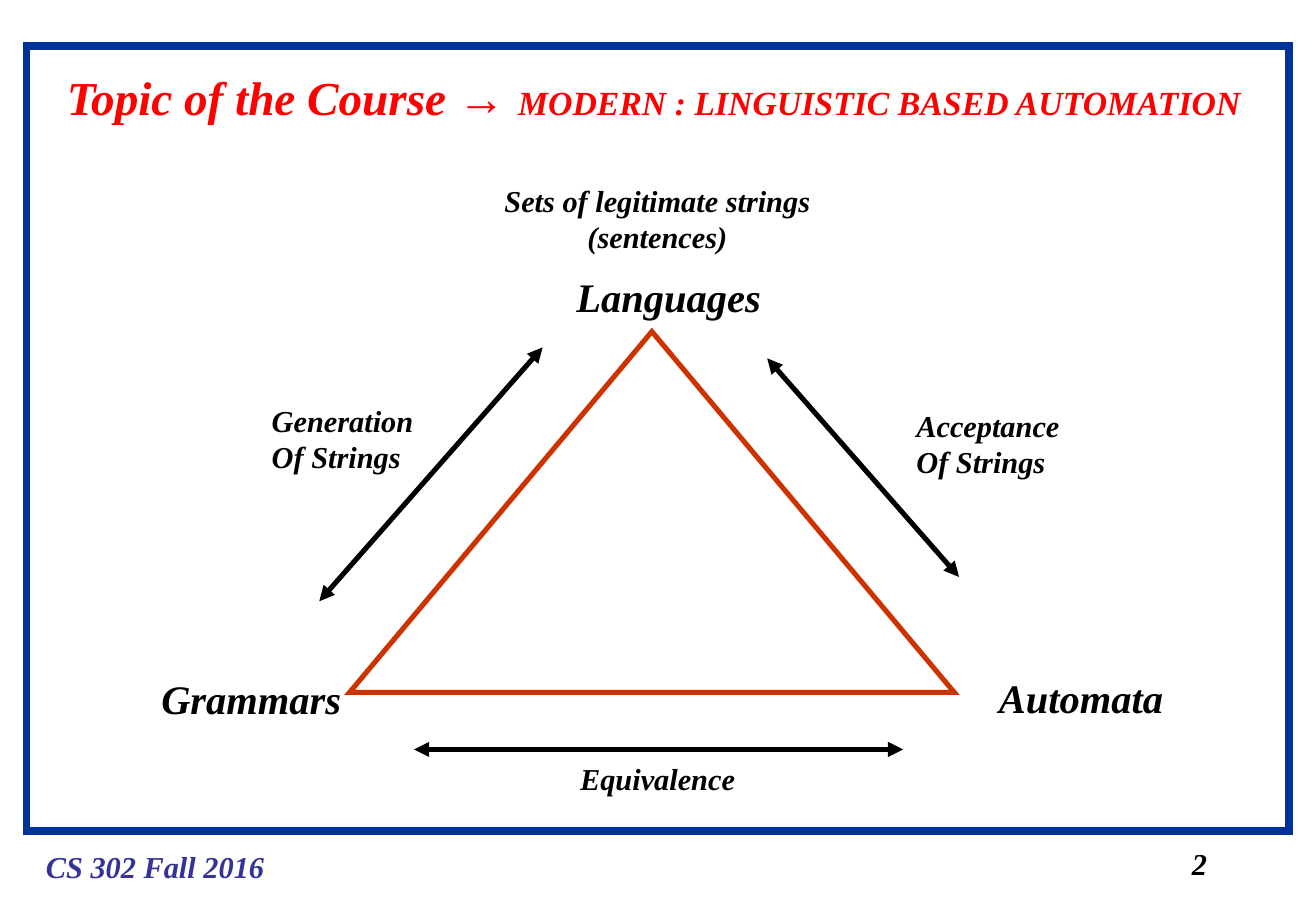
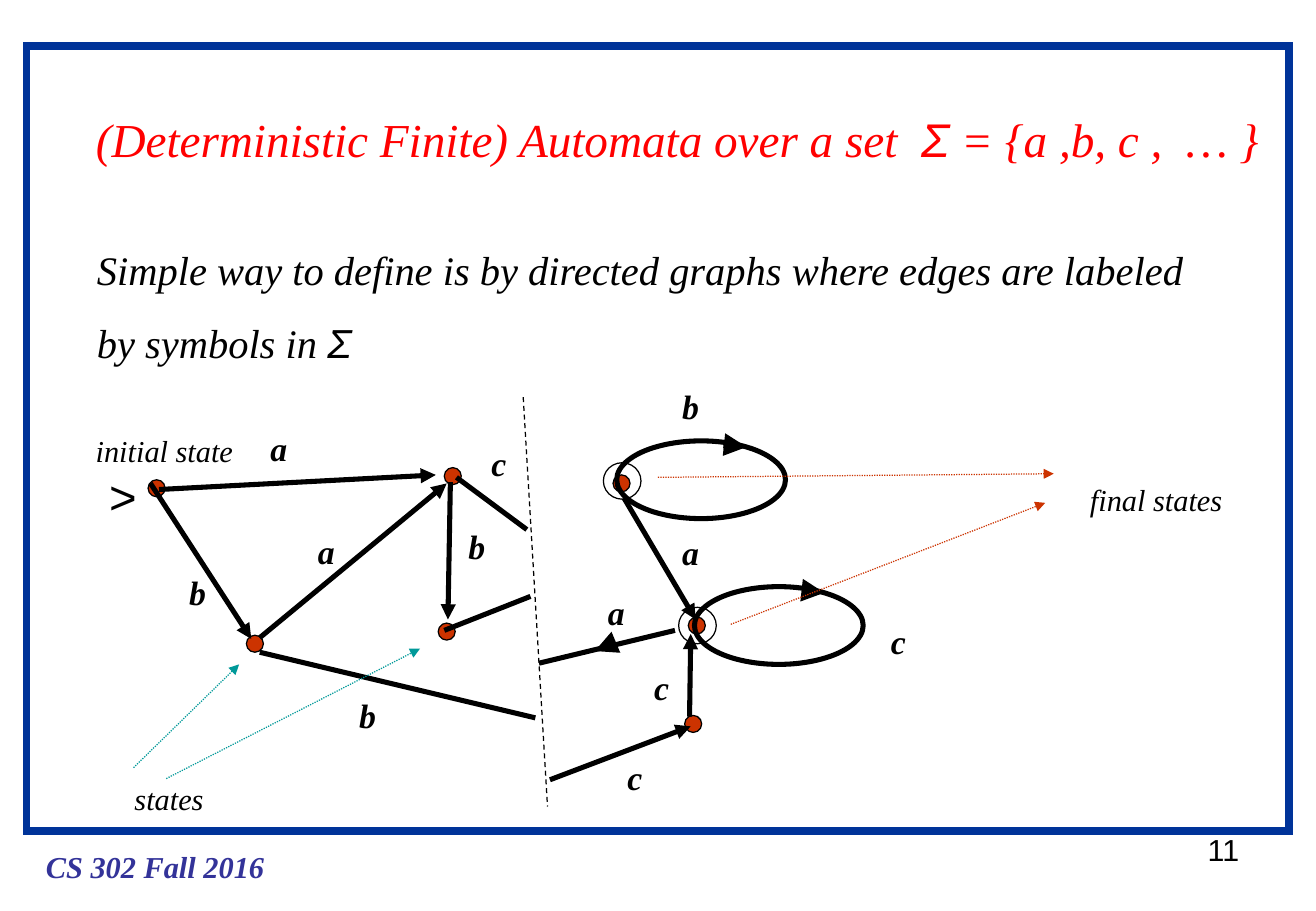
from lxml import etree
from pptx import Presentation
from pptx.dml.color import RGBColor
from pptx.enum.dml import MSO_LINE
from pptx.enum.shapes import MSO_CONNECTOR, MSO_SHAPE
from pptx.enum.text import MSO_ANCHOR, MSO_AUTO_SIZE, PP_ALIGN
from pptx.oxml.ns import qn
from pptx.util import Pt

PX = 9144  # 100 px to the inch
LEFT, CENTER = PP_ALIGN.LEFT, PP_ALIGN.CENTER
DOT, DASH = MSO_LINE.ROUND_DOT, MSO_LINE.DASH
RECT, OVAL, TRIANGLE = MSO_SHAPE.RECTANGLE, MSO_SHAPE.OVAL, MSO_SHAPE.ISOSCELES_TRIANGLE
COLORS = {"frame": "003399", "footer": "333399", "title": "FF0000",
          "ink": "000000", "state": "CC3300", "pointer": "009999"}
SERIF, SANS = "Times New Roman", "Arial"
# size, font, bold, italic, colour
STYLES = {
    "footer": (18, SERIF, True, True, "footer"),
    "title_bold": (28, SERIF, True, True, "title"),
    "title_arrow": (28, SANS, True, True, "title"),
    "subtitle": (20, SERIF, True, True, "title"),
    "title": (28, SERIF, False, True, "title"),
    "title_sigma": (28, SANS, False, True, "title"),
    "corner": (24, SERIF, True, True, "ink"),
    "caption": (18, SERIF, True, True, "ink"),
    "body": (24, SERIF, False, True, "ink"),
    "body_sigma": (24, SANS, False, True, "ink"),
    "note": (18, SERIF, False, True, "ink"),
    "symbol": (20, SERIF, True, True, "ink"),
    "start": (28, SANS, False, False, "ink"),
    "number": (18, SANS, False, False, "ink"),
}


def add_text(s, box, lines, wrap=False, align=LEFT, spacing=1.0, shape=None):
    """Write lines of (text, style) runs in a new text box, or in the given shape."""
    x, y, w, h = [v * PX for v in box]
    shape = shape or s.shapes.add_textbox(x, y, w, h)
    shape.left, shape.top, shape.width, shape.height = x, y, w, h
    tf = shape.text_frame
    tf.word_wrap = wrap
    tf.auto_size = MSO_AUTO_SIZE.SHAPE_TO_FIT_TEXT
    tf.vertical_anchor = MSO_ANCHOR.TOP
    for i, runs in enumerate(lines):
        p = tf.add_paragraph() if i else tf.paragraphs[0]
        p.alignment = align
        p.line_spacing = spacing
        for text, style in runs:
            r = p.add_run()
            r.text = text
            size, r.font.name, r.font.bold, r.font.italic, color = STYLES[style]
            r.font.size = Pt(size)
            r.font.color.rgb = RGBColor.from_string(COLORS[color])
    return shape


def add_outline(s, kind, box, color, width, ends="", dash=None, fill=None):
    """Draw a preset shape in box, or, if kind is None, a line between two points."""
    a, b, c, d = [v * PX for v in box]
    if kind is None:
        shape = s.shapes.add_connector(MSO_CONNECTOR.STRAIGHT, a, b, c, d)
        etree.SubElement(shape.element.spPr, qn("a:effectLst"))
    else:
        shape = s.shapes.add_shape(kind, a, b, c, d)
        shape.shadow.inherit = False
        if fill:
            shape.fill.solid()
            shape.fill.fore_color.rgb = RGBColor.from_string(COLORS[fill])
        else:
            shape.fill.background()
    shape.line.color.rgb = RGBColor.from_string(COLORS[color])
    shape.line.width = Pt(width)
    if dash:
        shape.line.dash_style = dash
    ln = shape.element.spPr.find(qn("a:ln"))
    etree.SubElement(ln, qn("a:miter"), lim="800000")
    for end in ends.split():
        etree.SubElement(ln, qn(f"a:{end}"), type="triangle")
    return shape


prs = Presentation()
prs.slide_width, prs.slide_height = 1084 * PX, 750 * PX
layout = prs.slide_layouts[5]

# Slide 1: languages, grammars and automata
s = prs.slides.add_slide(layout)

# The frame and the footer belong to the layout, so both slides show them
shared = [add_outline(s, RECT, (22, 38, 1040, 646), "frame", 4.5),
          add_text(s, (28, 693, 200, 40), [[("CS 302 Fall 2016", "footer")]])]
for i, shape in enumerate(shared):
    shape.element.nvSpPr.cNvPr.set("id", str(20 + i))
    layout.shapes.element.append(shape.element)

add_text(s, (45, 51, 1000, 57),
         [[("Topic of the Course ", "title_bold"), ("→ ", "title_arrow"),
           ("MODERN : LINGUISTIC BASED AUTOMATION", "subtitle")]], shape=s.shapes.title)
add_outline(s, TRIANGLE, (288, 273, 498, 297), "state", 3)
for box, text in [((465, 219, 172, 50), "Languages"),
                  ((813, 549, 155, 50), "Automata"),
                  ((123, 550, 168, 50), "Grammars")]:
    add_text(s, box, [[(text, "corner")]])
for ends in [(263, 495, 447, 286), (632, 295, 790, 475), (341, 617, 744, 617)]:
    add_outline(s, None, ends, "ink", 3, "headEnd tailEnd")
for box, lines, wrap, align in [
        ((214, 326, 150, 70), ["Generation", "Of Strings"], True, LEFT),
        ((745, 330, 179, 70), ["Acceptance", "Of Strings"], True, LEFT),
        ((374, 145, 335, 70), ["Sets of legitimate strings (sentences)"], True, CENTER),
        ((468, 621, 148, 40), ["Equivalence"], False, LEFT)]:
    add_text(s, box, [[(line, "caption")] for line in lines], wrap, align)
add_text(s, (972, 691, 32, 40), [[("2", "caption")]])

# Slide 2: an automaton as a directed graph
s = prs.slides.add_slide(layout)
add_text(s, (69, 86, 988, 57),
         [[("(Deterministic Finite) Automata over a set  ", "title"), ("Σ", "title_sigma"),
           (" = {a ,b, c ,  … }", "title")]], shape=s.shapes.title)
add_text(s, (70, 177, 920, 130),
         [[("Simple way to define is by directed graphs where edges are labeled "
            "by symbols in ", "body"), ("Σ", "body_sigma")]], wrap=True, spacing=1.5)

for x, y in [(122, 395), (505, 391), (361, 513), (567, 508),
             (203, 523), (564, 589), (366, 385)]:
    add_outline(s, OVAL, (x, y, 14, 14), "ink", 0.75, fill="state")
for x, y in [(497, 381), (559, 500)]:
    add_outline(s, OVAL, (x, y, 31, 30), "ink", 0.75)
for x, y in [(508, 363), (572, 483)]:
    add_outline(s, OVAL, (x, y, 139, 64), "ink", 3)

arrows = [(131, 403, 359, 391), (214, 525, 368, 398), (124, 398, 207, 526),
          (453, 642, 569, 598), (371, 397, 369, 510), (514, 410, 573, 510),
          (568, 590, 569, 522)]
cut_edges = [(366, 519, 437, 491), (376, 393, 434, 436), (214, 537, 441, 591),
             (556, 519, 444, 546)]
mid_arrows = [(596, 366, 615, 368), (661, 486, 679, 488), (502, 531, 490, 536)]
final_pointers = [(542, 393, 868, 390), (602, 514, 861, 414)]
state_pointers = [(110, 632, 197, 547), (137, 641, 346, 534)]
for group, color, width, ends, dash in [
        (arrows, "ink", 3, "tailEnd", None),
        (cut_edges, "ink", 3, "", None),
        (mid_arrows, "ink", 4.5, "tailEnd", None),
        ([(431, 327, 451, 664)], "ink", 0.75, "", DASH),
        (final_pointers, "state", 0.75, "tailEnd", DOT),
        (state_pointers, "pointer", 0.75, "tailEnd", DOT)]:
    for line in group:
        add_outline(s, None, line, color, width, ends, dash)

for symbol, places in {
        "a": [(213, 347), (252, 432), (491, 482), (552, 433)],
        "b": [(146, 466), (286, 567), (376, 428), (552, 313)],
        "c": [(395, 360), (507, 618), (724, 506), (529, 544)]}.items():
    for x, y in places:
        add_text(s, (x, y, 32 if symbol == "c" else 34, 44), [[(symbol, "symbol")]])
for box, text, style in [((80, 380, 42, 57), ">", "start"),
                         ((69, 351, 133, 40), "initial state", "note"),
                         ((888, 391, 129, 40), "final states", "note"),
                         ((101, 637, 77, 40), "states", "note"),
                         ((985, 679, 48, 40), "11", "number")]:
    add_text(s, box, [[(text, style)]])

prs.save("out.pptx")
